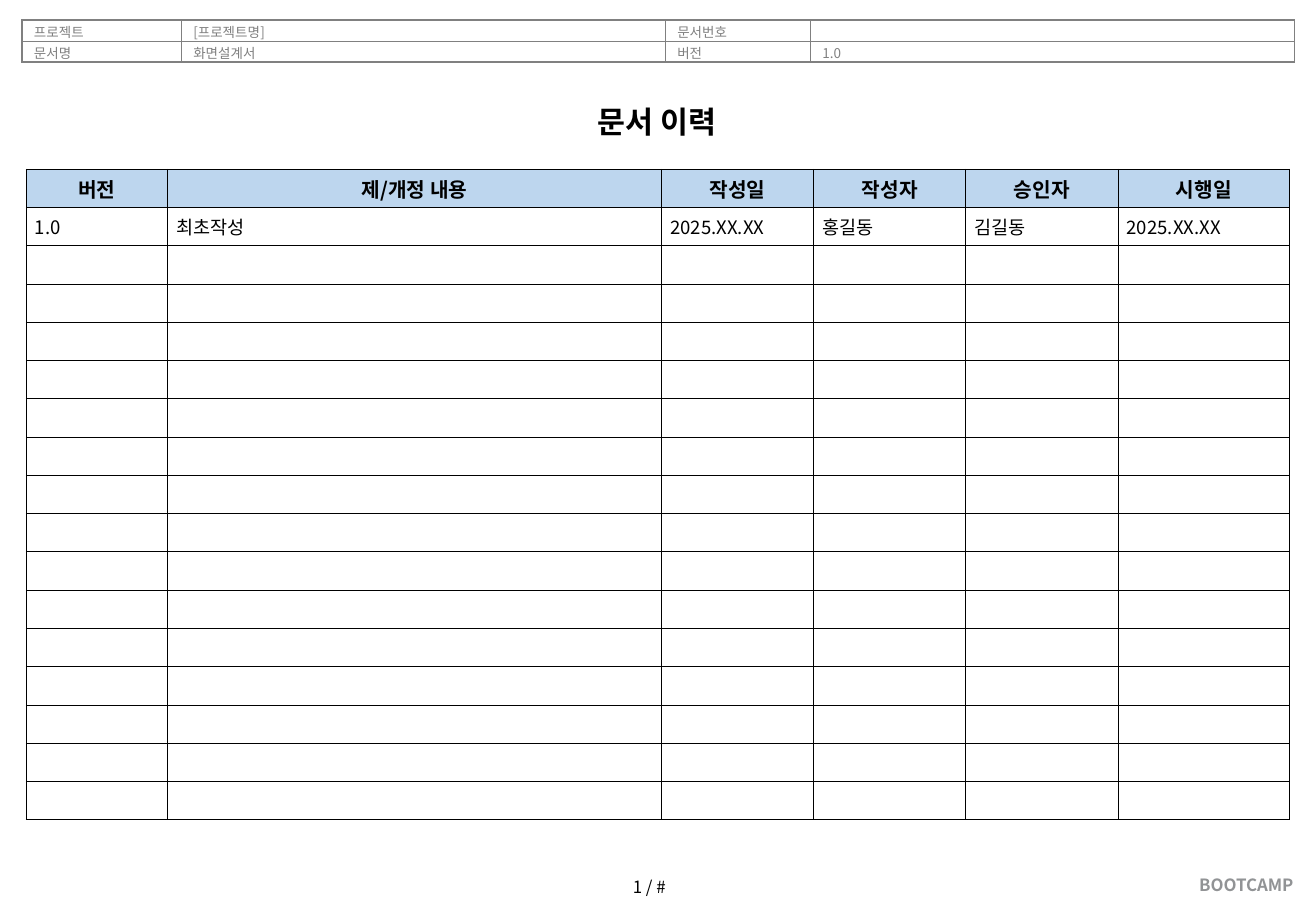
from lxml.etree import SubElement
from pptx import Presentation
from pptx.dml.color import RGBColor
from pptx.enum.text import MSO_ANCHOR, PP_ALIGN
from pptx.oxml.ns import qn
from pptx.util import Cm, Pt

FONT = "Noto Sans CJK KR"
BLACK, GRAY, LIGHT_GRAY = "000000", "808080", "919395"
WHITE, HEADER_BLUE = "FFFFFF", "BDD6EE"

DOCUMENT_INFO = [
    ["프로젝트", "[프로젝트명]", "문서번호", ""],
    ["문서명", "화면설계서", "버전", "1.0"],
]
HISTORY_HEADINGS = ["버전", "제/개정 내용", "작성일", "작성자", "승인자", "시행일"]
HISTORY_ENTRIES = [["1.0", "최초작성", "2025.XX.XX", "홍길동", "김길동", "2025.XX.XX"]]
HISTORY_ROWS = 17


def rgb(color):
    return RGBColor.from_string(color)


def write_text(frame, text, size, color=BLACK, bold=False, align=PP_ALIGN.LEFT):
    paragraph = frame.paragraphs[0]
    if text:
        paragraph.add_run().text = text
    paragraph.alignment = align
    font = paragraph.font
    font.size, font.bold, font.name = Pt(size), bold, FONT
    font.color.rgb = rgb(color)
    properties = paragraph._p.get_or_add_pPr().get_or_add_defRPr()
    SubElement(properties, qn("a:ea"), typeface=FONT)
    if not text:
        # An empty cell takes its line height from the end mark.
        SubElement(paragraph._p, qn("a:endParaRPr"), sz=str(size * 100))


def add_text(slide, text, left, top, width, height, size, wrap=False, **style):
    box = slide.shapes.add_textbox(Cm(left), Cm(top), Cm(width), Cm(height))
    box.text_frame.word_wrap = wrap
    write_text(box.text_frame, text, size, **style)
    return box


def add_plain_table(slide, left, top, column_widths, row_height, row_count):
    frame = slide.shapes.add_table(
        row_count, len(column_widths), Cm(left), Cm(top),
        Cm(sum(column_widths)), Cm(row_height * row_count))
    table = frame.table
    table.first_row = table.horz_banding = False
    for column, width in zip(table.columns, column_widths):
        column.width = Cm(width)
    for row in table.rows:
        row.height = Cm(row_height)
    return table


def set_borders(table, color, inner, outer):
    last_row, last_column = len(table.rows) - 1, len(table.columns) - 1
    for i, row in enumerate(table.rows):
        for j, cell in enumerate(row.cells):
            on_edge = {"L": j == 0, "R": j == last_column,
                       "T": i == 0, "B": i == last_row}
            properties = cell._tc.get_or_add_tcPr()
            for side, is_outer in on_edge.items():
                width = Pt(outer if is_outer else inner)
                line = SubElement(properties, qn(f"a:ln{side}"), w=str(width))
                fill = SubElement(line, qn("a:solidFill"))
                SubElement(fill, qn("a:srgbClr"), val=color)


def fill_cell(cell, text, size, margins, fill=None, anchor=MSO_ANCHOR.MIDDLE, **style):
    """Margins are (sides, top, bottom) in centimetres."""
    sides, top, bottom = margins
    cell.margin_left = cell.margin_right = Cm(sides)
    cell.margin_top, cell.margin_bottom = Cm(top), Cm(bottom)
    cell.vertical_anchor = anchor
    if fill:
        cell.fill.solid()
        cell.fill.fore_color.rgb = rgb(fill)
    else:
        cell.fill.background()
    write_text(cell.text_frame, text, size, **style)


def add_document_info(slide):
    table = add_plain_table(slide, 0.46, 0.42, [3.33, 10.12, 3.03, 10.12], 0.44, 2)
    set_borders(table, GRAY, inner=0.5, outer=1)
    for row, texts in zip(table.rows, DOCUMENT_INFO):
        for cell, text in zip(row.cells, texts):
            fill_cell(cell, text, 8, (0.25, 0.04, 0), WHITE, MSO_ANCHOR.TOP, color=GRAY)


def add_history(slide):
    widths = [2.95, 10.33, 3.18, 3.18, 3.18, 3.59]
    table = add_plain_table(slide, 0.55, 3.54, widths, 0.8, HISTORY_ROWS)
    set_borders(table, BLACK, inner=0.5, outer=0.5)
    for cell, heading in zip(table.rows[0].cells, HISTORY_HEADINGS):
        fill_cell(cell, heading, 12, (0.05, 0.03, 0.03), HEADER_BLUE,
                  bold=True, align=PP_ALIGN.CENTER)
    blank_count = HISTORY_ROWS - 1 - len(HISTORY_ENTRIES)
    entries = HISTORY_ENTRIES + [[""] * len(widths)] * blank_count
    for i, entry in enumerate(entries, start=1):
        for cell, text in zip(table.rows[i].cells, entry):
            fill_cell(cell, text, 11, (0.18, 0, 0))


def main():
    presentation = Presentation()
    presentation.slide_width, presentation.slide_height = Cm(27.51), Cm(19.05)
    slide = presentation.slides.add_slide(presentation.slide_layouts[6])
    add_text(slide, "1 / #", 12.98, 18.21, 1.7, 0.69, 10)
    add_document_info(slide)
    add_text(slide, "BOOTCAMP", 24.82, 18.16, 3.5, 0.69, 10, wrap=True,
             color=LIGHT_GRAY, bold=True)
    add_history(slide)
    title = add_text(slide, "문서 이력", 12.09, 2.03, 3.28, 1.02, 18,
                     bold=True, align=PP_ALIGN.CENTER)
    title.text_frame.vertical_anchor = MSO_ANCHOR.MIDDLE
    presentation.save("out.pptx")


if __name__ == "__main__":
    main()
